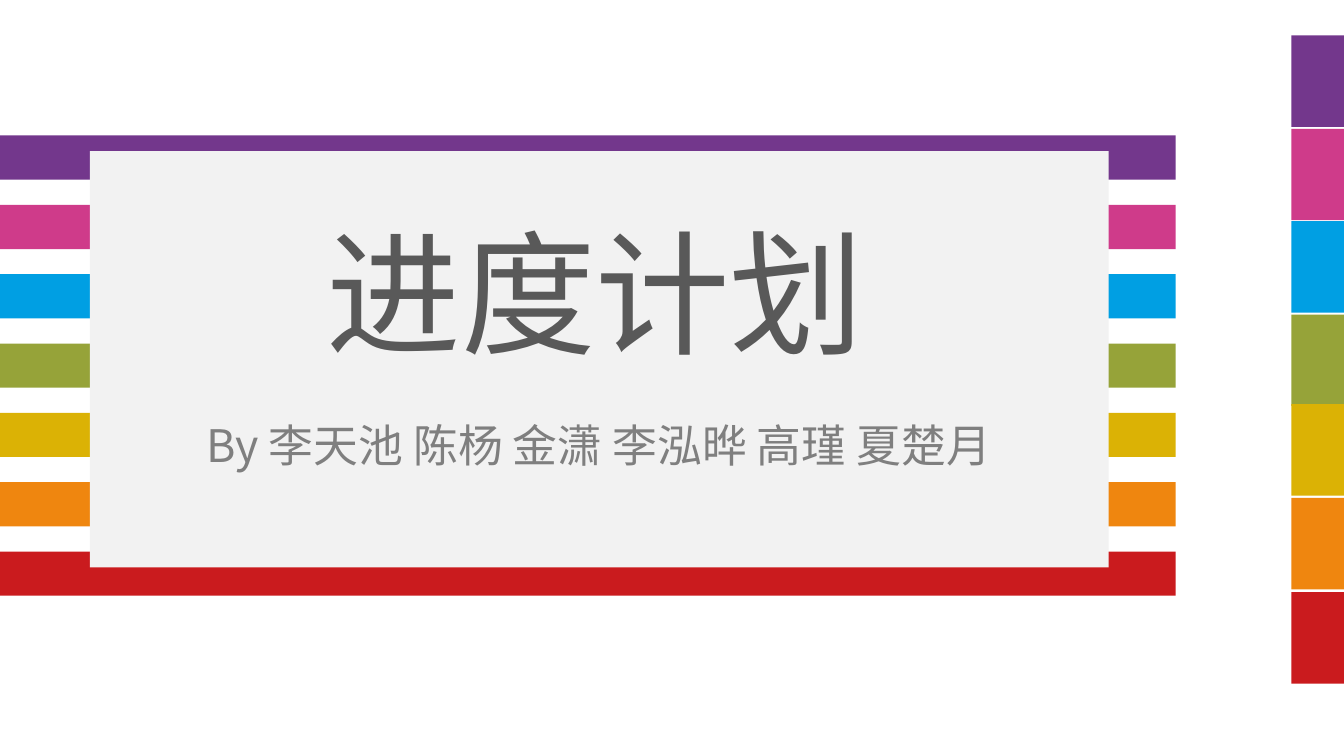
"""Build a title slide with rainbow stripes and tabs."""
import pptx
import pptx.util
import pptx.dml.color
import pptx.enum.shapes
import pptx.enum.text
import pptx.oxml.ns
import lxml.etree

Pt = pptx.util.Pt
HUES = ["73378C", "CF3B8A", "009FE3", "96A339", "DBB205", "EF860F", "CA1B1E"]
TABS = [19, 69, 118.5, 168.5, 216.5, 266.7, 317.2]


def paint(hue):
    """Turn a hex string into a colour."""
    return pptx.dml.color.RGBColor.from_string(hue)


class Deck:
    """Hold the style and the current slide."""

    face = "Noto Sans CJK SC"

    def __init__(self, slide):
        """Keep the slide to draw on."""
        self.slide = slide

    def block(self, left, top, width, height, hue):
        """Add a plain filled rectangle."""
        kind = pptx.enum.shapes.MSO_SHAPE.RECTANGLE
        shape = self.slide.shapes.add_shape(kind, Pt(left), Pt(top), Pt(width), Pt(height))
        shape.shadow.inherit = False
        shape.fill.solid()
        shape.fill.fore_color.rgb = paint(hue)
        shape.line.fill.background()

    def letter(self, shape, text, size, hue):
        """Put one centred line of text into a shape."""
        frame = shape.text_frame
        form = {
            "word_wrap": True,
            "auto_size": pptx.enum.text.MSO_AUTO_SIZE.SHAPE_TO_FIT_TEXT,
            "vertical_anchor": pptx.enum.text.MSO_ANCHOR.TOP,
        }
        for key, value in form.items():
            setattr(frame, key, value)
        para = frame.paragraphs[0]
        para.alignment = pptx.enum.text.PP_ALIGN.CENTER
        run = para.add_run()
        run.text = text
        for key, value in {"name": self.face, "size": Pt(size)}.items():
            setattr(run.font, key, value)
        run.font.color.rgb = paint(hue)
        east = lxml.etree.SubElement(run._r.get_or_add_rPr(), pptx.oxml.ns.qn("a:ea"))
        east.set("typeface", self.face)

    def title(self, left, top, width, height, text, size, hue):
        """Place the title in front of the blocks drawn so far."""
        shape = self.slide.shapes.title
        place = {"left": left, "top": top, "width": width, "height": height}
        for key, value in place.items():
            setattr(shape, key, Pt(value))
        self.slide.shapes._spTree.append(shape._element)
        self.letter(shape, text, size, hue)

    def label(self, left, top, width, height, text, size, hue):
        """Add a text box."""
        shape = self.slide.shapes.add_textbox(Pt(left), Pt(top), Pt(width), Pt(height))
        self.letter(shape, text, size, hue)


def main():
    """Draw the slide and save it."""
    show = pptx.Presentation()
    show.slide_width, show.slide_height = Pt(720), Pt(405)
    deck = Deck(show.slides.add_slide(show.slide_layouts[5]))
    for step, hue in enumerate(HUES):
        deck.block(0, 72.6 + 37.15 * step, 629.8, 23.7, hue)
    deck.block(48.2, 81, 545.8, 223, "F2F2F2")
    for top, hue in zip(TABS, HUES):
        deck.block(691.8, top, 28.2, 49, hue)
    deck.title(46, 108.7, 546, 93.6, "进度计划", 72, "595959")
    deck.label(76.3, 220.3, 489, 36, "By 李天池 陈杨 金潇 李泓晔 高瑾 夏楚月", 24, "7F7F7F")
    show.save("out.pptx")


if __name__ == "__main__":
    main()
